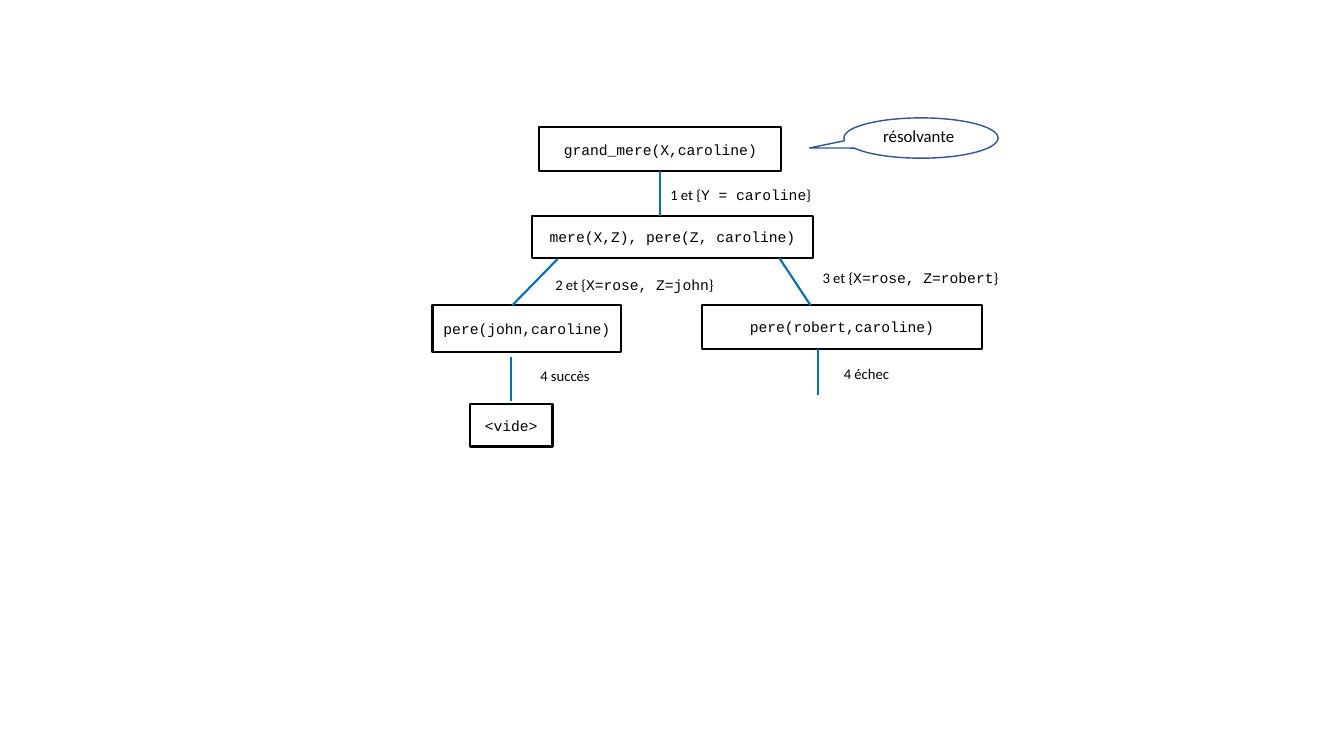
from dataclasses import dataclass

from lxml.etree import SubElement
from pptx import Presentation
from pptx.dml.color import RGBColor
from pptx.enum.shapes import MSO_CONNECTOR, MSO_SHAPE
from pptx.enum.text import MSO_ANCHOR, MSO_AUTO_SIZE, PP_ALIGN
from pptx.oxml.ns import qn
from pptx.util import Inches, Pt


@dataclass(frozen=True)
class Theme:
    """Colours, fonts and sizes of the slide."""
    ink: RGBColor = RGBColor(0x00, 0x00, 0x00)
    branch: RGBColor = RGBColor(0x00, 0x70, 0xC0)
    callout: RGBColor = RGBColor(0x32, 0x54, 0x91)
    sans: str = "Calibri"
    mono: str = "Courier New"
    body: Pt = Pt(10.5)
    note: Pt = Pt(12)
    outline: Pt = Pt(1.5)
    thin: Pt = Pt(1)


THEME = Theme()

GOALS = [
    ("grand_mere(X,caroline)", 1.06, 0.09, 2.4, 0.44),
    ("mere(X,Z), pere(Z, caroline)", 0.99, 0.97, 2.78, 0.42),
    ("pere(john,caroline)", 0, 1.86, 1.87, 0.46),
    ("pere(robert,caroline)", 2.67, 1.86, 2.78, 0.43),
    ("<vide>", 0.37, 2.84, 0.82, 0.42),
]
BRANCHES = [
    (2.26, 0.53, 2.26, 0.97),
    (1.24, 1.4, 0.79, 1.86),
    (3.44, 1.39, 3.75, 1.86),
    (0.78, 2.37, 0.78, 2.81),
    (3.82, 2.29, 3.82, 2.75),
]
LABELS = [
    (("1 et {", "Y = caroline", "}"), 2.26, 0.62, 1.61, 0.28, False),
    (("2 et {", "X=rose, Z=john", "}"), 1.12, 1.52, 2.03, 0.29, True),
    (("3 et {", "X=rose, Z=robert", "}"), 3.77, 1.45, 1.96, 0.28, False),
    (("4 succès",), 0.97, 2.42, 0.72, 0.29, False),
    (("4 échec",), 3.98, 2.4, 0.68, 0.29, False),
]


def set_font(font, name, size):
    """Give a font its name, size and the ink colour."""
    font.name, font.size = name, size
    font.color.rgb = THEME.ink


def add_outline(shapes, kind, box, color, width):
    """Add an unfilled shape with a plain outline."""
    shape = shapes.add_shape(kind, *map(Inches, box))
    shape.shadow.inherit = False
    shape.fill.background()
    shape.line.color.rgb = color
    shape.line.width = width
    return shape


def add_goal(shapes, text, box):
    """Add a framed goal with centred code."""
    shape = add_outline(shapes, MSO_SHAPE.RECTANGLE, box, THEME.ink, THEME.outline)
    frame = shape.text_frame
    frame.word_wrap = True
    frame.vertical_anchor = MSO_ANCHOR.MIDDLE
    frame.margin_left = frame.margin_right = Inches(0.1)
    frame.margin_top = frame.margin_bottom = Inches(0.12)
    paragraph = frame.paragraphs[0]
    paragraph.text = text
    paragraph.alignment = PP_ALIGN.CENTER
    set_font(paragraph.font, THEME.mono, THEME.body)


def add_branch(shapes, start_x, start_y, end_x, end_y):
    """Add a line between two goals."""
    ends = map(Inches, (start_x, start_y, end_x, end_y))
    connector = shapes.add_connector(MSO_CONNECTOR.STRAIGHT, *ends)
    connector.line.color.rgb = THEME.branch
    connector.line.width = THEME.outline
    SubElement(connector._element.spPr, qn("a:effectLst"))


def add_label(shapes, parts, box, size, wrap):
    """Add a text whose second part, if any, is code."""
    frame = shapes.add_textbox(*map(Inches, box)).text_frame
    frame.word_wrap = wrap
    frame.auto_size = MSO_AUTO_SIZE.SHAPE_TO_FIT_TEXT
    paragraph = frame.paragraphs[0]
    set_font(paragraph.font, THEME.sans, size)
    for index, part in enumerate(parts):
        run = paragraph.add_run()
        run.text = part
        set_font(run.font, THEME.mono if index == 1 else THEME.sans, size)


def add_callout(shapes, left, top):
    """Add the speech bubble that names the resolvent."""
    bubble = add_outline(shapes, MSO_SHAPE.OVAL_CALLOUT, (left, top, 1.53, 0.4),
                         THEME.callout, THEME.thin)
    bubble.adjustments[0], bubble.adjustments[1] = -0.723, 0.246
    add_label(shapes, ("résolvante",), (left + 0.29, top + 0.03, 1.48, 0.3),
              THEME.note, True)


def add_resolution_tree(slide, left, top):
    """Place the whole resolution tree with its corner at left, top."""
    shapes = slide.shapes.add_group_shape().shapes
    for text, x, y, width, height in GOALS:
        add_goal(shapes, text, (left + x, top + y, width, height))
    for start_x, start_y, end_x, end_y in BRANCHES:
        add_branch(shapes, left + start_x, top + start_y, left + end_x, top + end_y)
    for parts, x, y, width, height, wrap in LABELS:
        add_label(shapes, parts, (left + x, top + y, width, height), THEME.body, wrap)
    add_callout(shapes, left + 4.08, top)


def main():
    """Build and save the presentation."""
    presentation = Presentation()
    presentation.slide_width = Inches(13.33)
    presentation.slide_height = Inches(7.5)
    slide = presentation.slides.add_slide(presentation.slide_layouts.get_by_name("Blank"))
    add_resolution_tree(slide, 4.29, 1.17)
    presentation.save("out.pptx")


if __name__ == "__main__":
    main()
